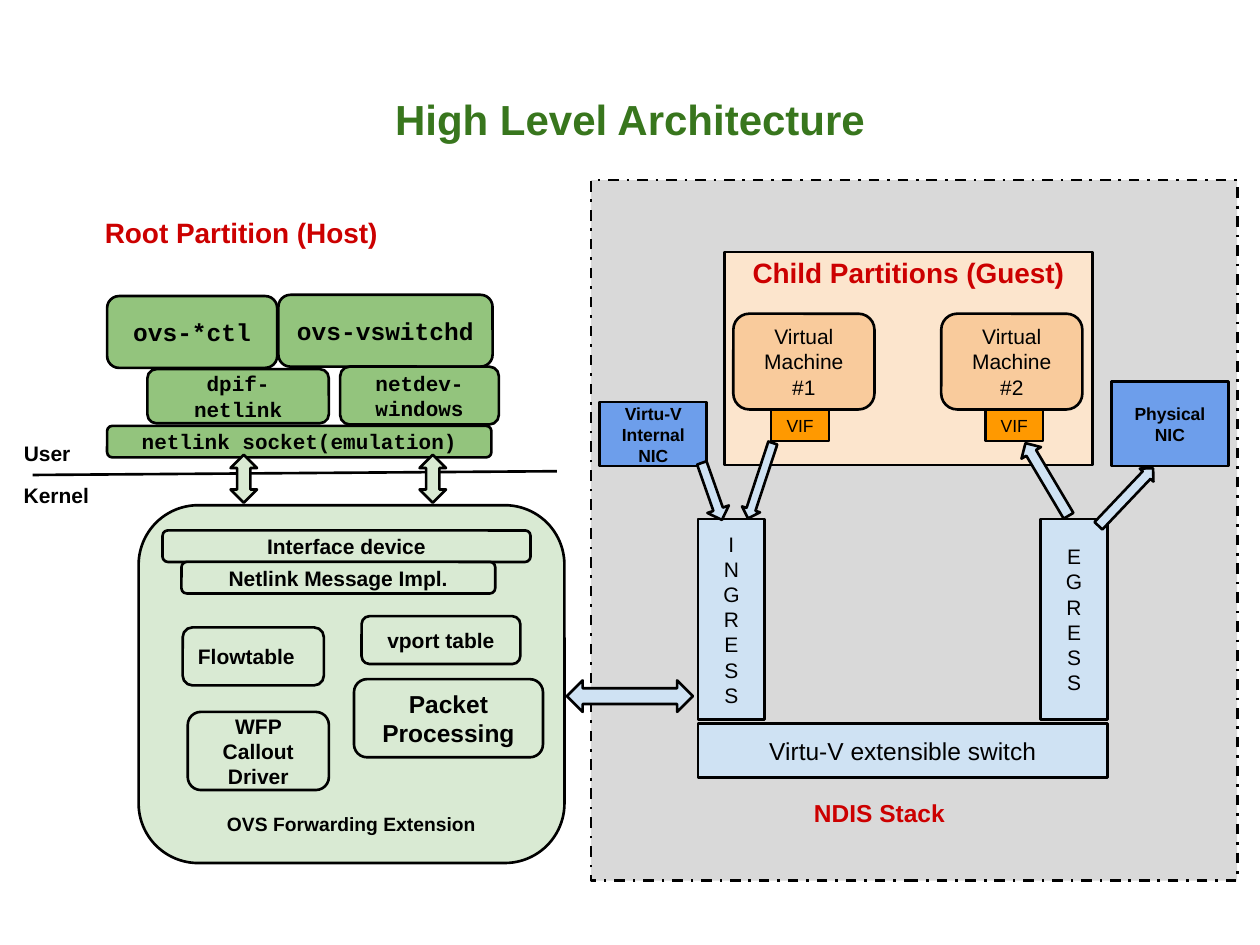
from dataclasses import dataclass

from lxml import etree
from pptx import Presentation
from pptx.dml.color import RGBColor
from pptx.enum.dml import MSO_LINE
from pptx.enum.shapes import MSO_CONNECTOR, MSO_SHAPE
from pptx.enum.text import MSO_ANCHOR, PP_ALIGN
from pptx.oxml.ns import qn
from pptx.util import Inches, Pt

RECT, ROUND = MSO_SHAPE.RECTANGLE, MSO_SHAPE.ROUNDED_RECTANGLE
UP, DOWN = MSO_SHAPE.UP_ARROW, MSO_SHAPE.DOWN_ARROW
UP_DOWN, LEFT_RIGHT = MSO_SHAPE.UP_DOWN_ARROW, MSO_SHAPE.LEFT_RIGHT_ARROW
TOP, MIDDLE, BOTTOM = MSO_ANCHOR.TOP, MSO_ANCHOR.MIDDLE, MSO_ANCHOR.BOTTOM
LEFT, CENTER = PP_ALIGN.LEFT, PP_ALIGN.CENTER


@dataclass(frozen=True)
class Theme:
    sans: str = "Arial"
    mono: str = "Courier New"
    ink: str = "000000"
    title: str = "38761D"
    heading: str = "CC0000"
    stack: str = "D9D9D9"
    guest: str = "FCE5CD"
    machine: str = "F9CB9C"
    vif: str = "FF9900"
    nic: str = "6D9EEB"
    switch: str = "CFE2F3"
    kernel: str = "D9EAD3"
    user: str = "93C47D"
    title_size: int = 24
    heading_size: int = 16
    large: int = 14
    body: int = 12
    caption: int = 11
    small: int = 10
    line: float = 1.5
    inset: float = 0.1


THEME = Theme()


def write(sp, text, size, color=THEME.ink, bold=False, font=THEME.sans,
          align=CENTER, anchor=MIDDLE, top=THEME.inset, bottom=THEME.inset):
    tf = sp.text_frame
    tf.word_wrap = True
    tf.vertical_anchor = anchor
    tf.margin_left = tf.margin_right = Inches(THEME.inset)
    tf.margin_top, tf.margin_bottom = Inches(top), Inches(bottom)
    tf.text = text
    for p in tf.paragraphs:
        p.alignment = align
        for r in p.runs:
            r.font.name, r.font.size, r.font.bold = font, Pt(size), bold
            r.font.color.rgb = RGBColor.from_string(color)


def add_box(slide, kind, at, fill, text="", size=THEME.body, **style):
    sp = slide.shapes.add_shape(kind, *map(Inches, at))
    sp.shadow.inherit = False
    sp.fill.solid()
    sp.fill.fore_color.rgb = RGBColor.from_string(fill)
    sp.line.color.rgb = RGBColor.from_string(THEME.ink)
    sp.line.width = Pt(THEME.line)
    if text:
        write(sp, text, size, **style)
    return sp


def add_arrow(slide, kind, at, fill, rotation=0, shaft=0.5):
    """Draw a block arrow; shaft is the shaft's share of the arrow's width."""
    sp = add_box(slide, kind, at, fill)
    sp.rotation = rotation
    sp.adjustments[0] = shaft
    sp.adjustments[1] = 0.5


def add_label(slide, at, text, size, **style):
    sp = slide.shapes.add_textbox(*map(Inches, at))
    write(sp, text, size, bold=True, anchor=TOP, **style)


def add_divider(slide, x1, y1, x2, y2):
    line = slide.shapes.add_connector(
        MSO_CONNECTOR.STRAIGHT, *map(Inches, (x1, y1, x2, y2)))
    line.line.color.rgb = RGBColor.from_string(THEME.ink)
    line.line.width = Pt(THEME.line)
    etree.SubElement(line._element.spPr, qn("a:effectLst"))


def set_title(slide, text):
    sp = slide.shapes.title
    sp.left, sp.top, sp.width, sp.height = map(Inches, (0.5, 0.36, 9, 0.89))
    write(sp, text, THEME.title_size, THEME.title, bold=True, anchor=BOTTOM)
    sp.text_frame.paragraphs[0].line_spacing = 0.9


def add_ndis_stack(slide):
    stack = add_box(slide, RECT, (4.69, 1.43, 5.13, 5.56), THEME.stack)
    stack.line.dash_style = MSO_LINE.DASH_DOT
    add_box(slide, RECT, (5.75, 2, 2.92, 1.69), THEME.guest,
            "Child Partitions (Guest)", THEME.heading_size,
            color=THEME.heading, bold=True, anchor=TOP, top=0.03)
    for x, word in ((5.54, "INGRESS"), (8.26, "EGRESS")):
        add_box(slide, RECT, (x, 4.12, 0.53, 1.59), THEME.switch, "\n".join(word))
    add_box(slide, RECT, (5.54, 5.74, 3.25, 0.43), THEME.switch,
            "Virtu-V extensible switch", THEME.large)
    for number, x, vif_x in ((1, 5.82, 6.12), (2, 7.47, 7.82)):
        add_box(slide, ROUND, (x, 2.49, 1.12, 0.76), THEME.machine,
                f"Virtual Machine #{number}")
        add_box(slide, RECT, (vif_x, 3.25, 0.46, 0.25), THEME.vif, "VIF", THEME.small)
    for at, text in (((8.82, 3.03, 0.93, 0.67), "Physical NIC"),
                     ((4.76, 3.19, 0.85, 0.51), "Virtu-V Internal NIC")):
        add_box(slide, RECT, at, THEME.nic, text, THEME.small, bold=True)
    add_label(slide, (6.26, 6.23, 1.44, 0.46), "NDIS Stack", THEME.large,
              color=THEME.heading)


def add_forwarding_extension(slide):
    add_box(slide, ROUND, (1.1, 4.01, 3.38, 2.84), THEME.kernel,
            "OVS Forwarding Extension", THEME.caption, bold=True,
            anchor=BOTTOM, bottom=0.08)
    for at, text, size, align in (
            ((1.29, 4.21, 2.92, 0.25), "Interface device", THEME.body, CENTER),
            ((1.44, 4.46, 2.49, 0.25), "Netlink Message Impl.", THEME.body, CENTER),
            ((1.45, 4.98, 1.12, 0.46), "Flowtable", THEME.body, LEFT),
            ((2.87, 4.89, 1.26, 0.38), "vport table", THEME.body, CENTER),
            ((2.81, 5.39, 1.5, 0.62), "Packet Processing", THEME.large, CENTER),
            ((1.49, 5.65, 1.12, 0.62), "WFP Callout Driver", THEME.body, CENTER)):
        add_box(slide, ROUND, at, THEME.kernel, text, size, bold=True, align=align)


def add_user_space(slide):
    for at, text, size in (
            ((2.21, 2.34, 1.7, 0.57), "ovs-vswitchd", THEME.large),
            ((0.85, 3.38, 3.05, 0.25), "netlink socket(emulation)", THEME.body),
            ((0.85, 2.35, 1.35, 0.57), "ovs-*ctl", THEME.large),
            ((1.17, 2.93, 1.44, 0.43), "dpif-\nnetlink", THEME.body),
            ((2.7, 2.91, 1.26, 0.46), "netdev-\nwindows", THEME.body)):
        add_box(slide, ROUND, at, THEME.user, text, size, bold=True, font=THEME.mono)
    add_label(slide, (0.67, 1.61, 2.49, 0.57), "Root Partition (Host)",
              THEME.heading_size, color=THEME.heading)
    add_divider(slide, 0.26, 3.77, 4.42, 3.74)
    add_label(slide, (0.09, 3.4, 0.85, 0.25), "User", THEME.body, align=LEFT)
    add_label(slide, (0.09, 3.73, 1, 0.25), "Kernel", THEME.body, align=LEFT)


def add_flows(slide):
    for x in (1.83, 3.33):
        add_arrow(slide, UP_DOWN, (x, 3.61, 0.21, 0.38), THEME.kernel)
    add_arrow(slide, LEFT_RIGHT, (4.5, 5.4, 1, 0.25), THEME.switch)
    for kind, at, rotation, shaft in (
            (DOWN, (5.96, 3.5, 0.15, 0.63), 18.2, 0.5),
            (UP, (8.22, 3.47, 0.18, 0.67), 329.3, 0.5),
            (UP, (8.86, 3.63, 0.15, 0.63), 43.5, 0.57),
            (DOWN, (5.56, 3.66, 0.18, 0.48), 340.6, 0.44)):
        add_arrow(slide, kind, at, THEME.switch, rotation, shaft)


def main():
    prs = Presentation()
    prs.slide_width, prs.slide_height = Inches(10), Inches(7.5)
    slide = prs.slides.add_slide(prs.slide_layouts[5])
    set_title(slide, "High Level Architecture")
    add_ndis_stack(slide)
    add_forwarding_extension(slide)
    add_user_space(slide)
    add_flows(slide)
    prs.save("out.pptx")


if __name__ == "__main__":
    main()
